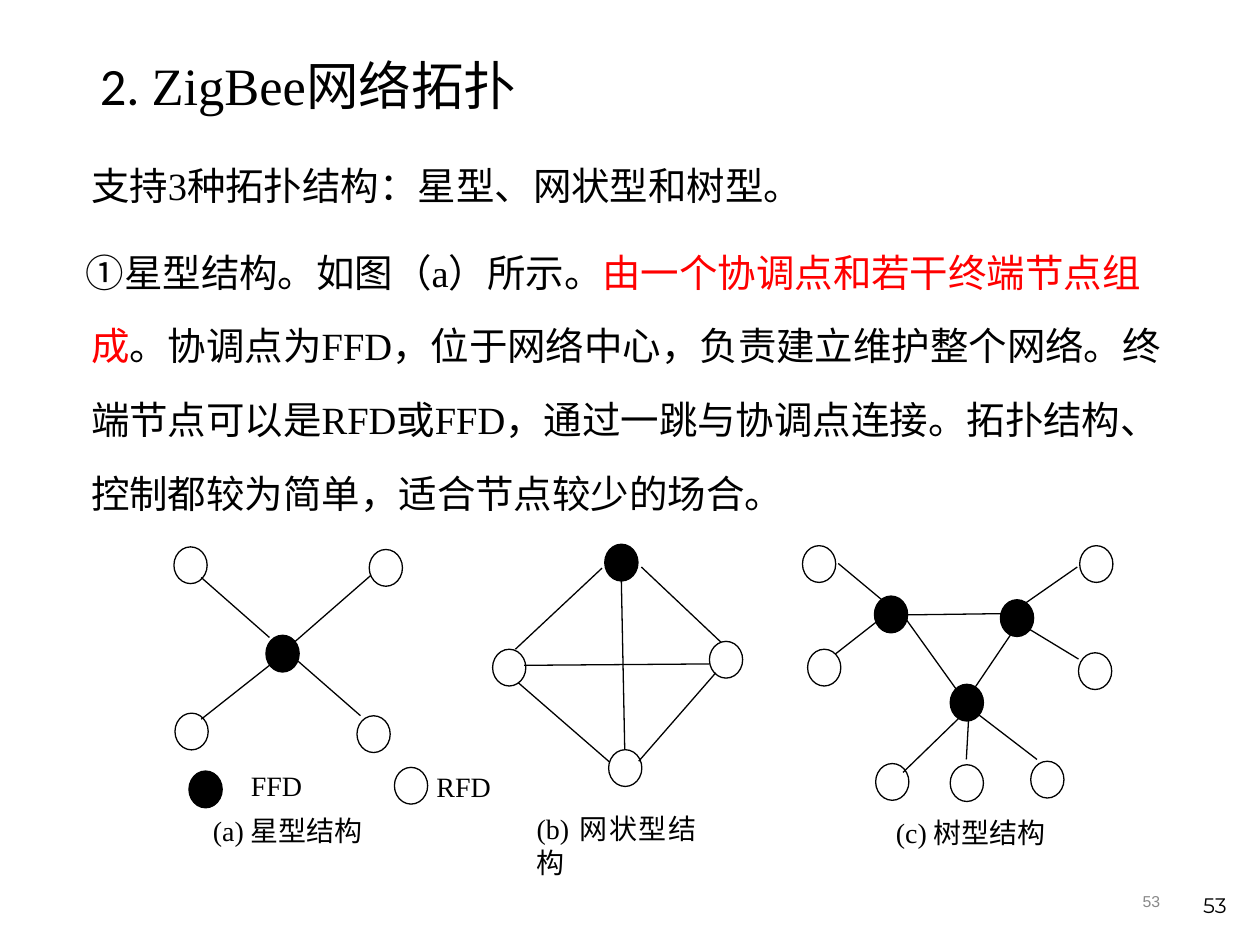
from lxml.etree import SubElement
from pptx import Presentation
from pptx.dml.color import RGBColor
from pptx.enum.shapes import MSO_CONNECTOR as Connector, MSO_SHAPE as Preset
from pptx.enum.text import MSO_ANCHOR as Anchor, PP_ALIGN as Align
from pptx.oxml.ns import qn
from pptx.util import Pt

COLORS = {"black": "000000", "white": "FFFFFF", "red": "FF0000", "gray": "898989"}
SERIF = "Times New Roman"
NODE_SIZE = (19, 21)

STAR = {
    "ffd": [(53, 52)],
    "rfd": [(0.4, 1.5), (112, 3), (105, 98), (1, 96.5)],
    "links": [
        (16, 19, 55, 53.3), (66.6, 62.7, 107, 98),
        (16, 100, 61.6, 64), (68, 57, 112.7, 18),
    ],
}
MESH = {
    "ffd": [(64.6, 0)],
    "rfd": [(124.4, 55.5), (66.8, 117.4), (0.5, 60)],
    "links": [
        (85.5, 13, 131, 56), (74, 17.3, 76, 117.4), (15, 79, 67.5, 124.6),
        (84, 124, 128, 73.5), (18.5, 69.2, 124.4, 68.4), (13.5, 60, 63, 13.7),
    ],
}
TREE = {
    "ffd": [(41.7, 29.6), (113.7, 31.7), (85, 80)],
    "rfd": [(0.6, 0.8), (3.5, 60), (159, 0.8), (158.3, 62),
            (131, 124), (42.4, 125.3), (85, 126)],
    "links": [
        (21, 11, 46.7, 32.4), (19.4, 62.7, 44.6, 43), (58, 40.4, 119.4, 39.6),
        (58, 40.4, 91.4, 87), (97, 85, 122.3, 47.6), (58, 130.4, 91.4, 98),
        (94.2, 123, 95.7, 96), (134.6, 123, 100.7, 97),
        (126.6, 34.6, 157.6, 13), (126, 46, 158.3, 65.6),
    ],
}


def color(name):
    return RGBColor.from_string(COLORS[name])


def add_text(slide, box, paragraphs, size=16, font=SERIF, ink="black", align=Align.LEFT,
             anchor=Anchor.TOP, inset=(0, 0), line_spacing=None, space_before=0,
             left_margin=0, indents=None):
    frame = slide.shapes.add_textbox(*map(Pt, box)).text_frame
    frame.word_wrap = True
    frame.vertical_anchor = anchor
    frame.margin_left = frame.margin_right = Pt(inset[0])
    frame.margin_top = frame.margin_bottom = Pt(inset[1])
    for index, runs in enumerate(paragraphs):
        paragraph = frame.add_paragraph() if index else frame.paragraphs[0]
        paragraph.alignment = align
        if line_spacing:
            paragraph.line_spacing = line_spacing
        if index:
            paragraph.space_before = Pt(space_before)
        if indents:
            properties = paragraph._p.get_or_add_pPr()
            properties.set("marL", str(Pt(left_margin)))
            properties.set("indent", str(Pt(indents[index])))
        for text, changes in runs:
            run = paragraph.add_run()
            run.text = text
            run.font.size = Pt(size)
            run.font.name = changes.get("font", font)
            run.font.color.rgb = color(changes.get("ink", ink))


def add_node(slide, left, top, fill):
    shape = slide.shapes.add_shape(Preset.OVAL, *map(Pt, (left, top, *NODE_SIZE)))
    shape.shadow.inherit = False
    shape.fill.solid()
    shape.fill.fore_color.rgb = color(fill)
    shape.line.color.rgb = color("black")
    shape.line.width = Pt(0.75)


def add_link(slide, *ends):
    connector = slide.shapes.add_connector(Connector.STRAIGHT, *map(Pt, ends))
    connector.line.color.rgb = color("black")
    connector.line.width = Pt(0.75)
    SubElement(connector._element.spPr, qn("a:effectLst"))


def add_heading(slide, box):
    add_text(slide, box, [[("2. ", {"font": "Calibri"}), ("ZigBee网络拓扑", {})]],
             size=30, anchor=Anchor.MIDDLE, inset=(7.2, 3.6), line_spacing=0.9)


def add_body(slide, box):
    paragraphs = [
        [("支持3种拓扑结构：星型、网状型和树型。", {})],
        [
            ("①星型结构。如图（a）所示。", {}),
            ("由一个协调点和若干终端节点组成", {"ink": "red"}),
            ("。协调点为FFD，位于网络中心，负责建立维护整个网络。终端节点可以是RFD或FFD，"
             "通过一跳与协调点连接。拓扑结构、控制都较为简单，适合节点较少的场合。", {}),
        ],
    ]
    add_text(slide, box, paragraphs, size=22, inset=(7.2, 3.6), line_spacing=1.6,
             space_before=7.5, left_margin=14, indents=(0, -3))


def add_topology(slide, box, topology, caption, caption_box):
    left, top = box
    for kind, fill in (("rfd", "white"), ("ffd", "black")):
        for x, y in topology[kind]:
            add_node(slide, left + x, top + y, fill)
    for x1, y1, x2, y2 in topology["links"]:
        add_link(slide, left + x1, top + y1, left + x2, top + y2)
    x, y, width, height = caption_box
    add_text(slide, (left + x, top + y, width, height), [[(caption, {})]],
             align=Align.JUSTIFY)


def add_legend_entry(slide, box, label, fill, label_offset):
    left, top, width, height = box
    x, y = label_offset
    add_node(slide, left, top, fill)
    add_text(slide, (left + x, top + y, width - x, height), [[(label, {})]],
             align=Align.CENTER)


def add_page_numbers(slide):
    add_text(slide, (508, 500.4, 162, 29), [[("53", {})]], size=9, font="Arial",
             ink="gray", align=Align.RIGHT, anchor=Anchor.MIDDLE, inset=(7.2, 3.6))
    add_text(slide, (540, 492, 168, 36), [[("53", {})]], size=12, font="Montserrat",
             align=Align.RIGHT, anchor=Anchor.BOTTOM, inset=(7.2, 3.6))


def main():
    presentation = Presentation()
    presentation.slide_width, presentation.slide_height = Pt(720), Pt(540)
    slide = presentation.slides.add_slide(presentation.slide_layouts[6])
    add_heading(slide, (50, 29, 621, 43))
    add_body(slide, (31, 73, 642, 384))
    add_topology(slide, (99, 311), STAR, "(a) 星型结构", (22.7, 154, 86.4, 20))
    add_topology(slide, (281, 311), MESH, "(b) 网状型结构", (25.7, 152.7, 91.4, 18))
    add_topology(slide, (458, 311), TREE, "(c) 树型结构", (54, 154.8, 86.4, 21.6))
    add_legend_entry(slide, (108, 440.6, 77, 22), "FFD", "black", (23, -1.4))
    add_legend_entry(slide, (225.4, 438.5, 62.5, 24), "RFD", "white", (16.5, 1.4))
    add_page_numbers(slide)
    presentation.save("out.pptx")


if __name__ == "__main__":
    main()
